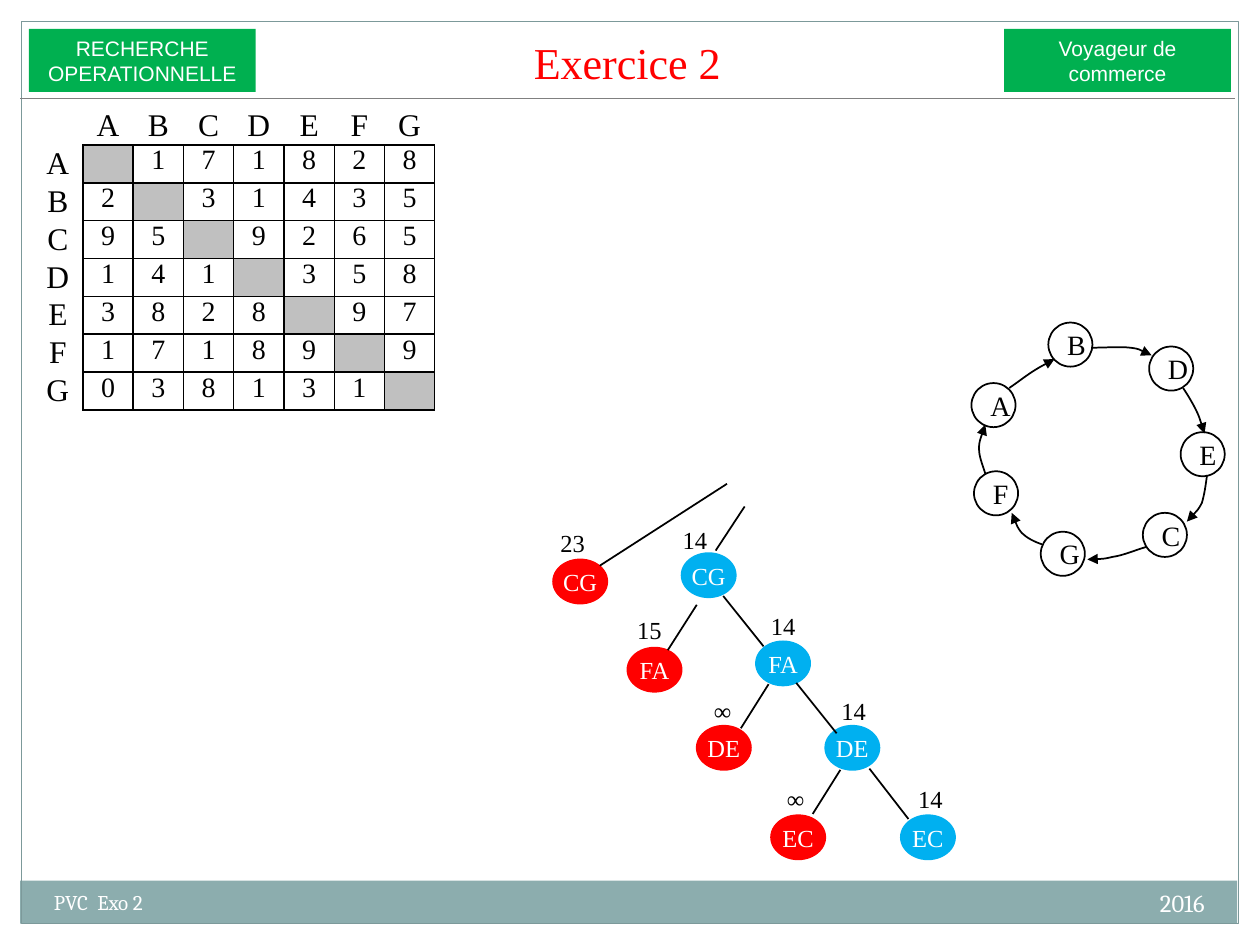
from lxml.etree import SubElement
from pptx import Presentation
from pptx.dml.color import RGBColor
from pptx.enum.shapes import MSO_CONNECTOR, MSO_SHAPE
from pptx.enum.text import MSO_ANCHOR, PP_ALIGN
from pptx.oxml.ns import qn
from pptx.util import Inches, Pt

BLACK, WHITE, RED, BLUE, GREEN = "000000", "FFFFFF", "FF0000", "00B0F0", "00B050"
SERIF = "Times New Roman"

deck = Presentation()
deck.slide_width, deck.slide_height = Inches(10), Inches(7.5)
page = deck.slides.add_slide(deck.slide_layouts[6])


def add_shape(kind, place, fill=None, line=None, weight=1):
    shape = page.shapes.add_shape(kind, *map(Inches, place))
    shape.shadow.inherit = False
    if fill:
        shape.fill.solid()
        shape.fill.fore_color.rgb = RGBColor.from_string(fill)
    else:
        shape.fill.background()
    if line:
        shape.line.color.rgb = RGBColor.from_string(line)
        shape.line.width = Pt(weight)
    else:
        shape.line.fill.background()
    return shape


def write(holder, text, size, color, font=SERIF, align=PP_ALIGN.CENTER,
          anchor=MSO_ANCHOR.TOP, margins=(0.1, 0.05)):
    frame = holder.text_frame
    frame.text = text
    if holder in cells:
        target = holder
    else:
        frame.word_wrap = True
        target = frame
    target.vertical_anchor = anchor
    target.margin_left = target.margin_right = Inches(margins[0])
    target.margin_top = target.margin_bottom = Inches(margins[1])
    for para in frame.paragraphs:
        para.alignment = align
        para.font.name = font
        para.font.size = Pt(size)
        para.font.color.rgb = RGBColor.from_string(color)


cells = []

add_shape(MSO_SHAPE.RECTANGLE, (0.16, 6.99, 9.66, 0.34), "8CADAE")
add_shape(MSO_SHAPE.RECTANGLE, (0.17, 0.17, 9.66, 7.16), line="7C999A", weight=0.75)

captions = [
    ("2016", (6.33, 7, 3.33, 0.4), 14, WHITE, "Cambria", PP_ALIGN.RIGHT, MSO_ANCHOR.TOP),
    ("PVC  Exo 2", (0.33, 7.01, 3.92, 0.4), 12, WHITE, "Cambria", PP_ALIGN.LEFT, MSO_ANCHOR.TOP),
    ("Exercice 2", (2.75, 0.22, 4.46, 0.53), 25.2, RED, SERIF, PP_ALIGN.CENTER, MSO_ANCHOR.BOTTOM),
]
for text, place, *style in captions:
    box = page.shapes.add_textbox(*map(Inches, place))
    write(box, text, *style)

for left, text in [(0.23, "RECHERCHE\nOPERATIONNELLE"), (7.97, "Voyageur de commerce")]:
    banner = add_shape(MSO_SHAPE.RECTANGLE, (left, 0.23, 1.8, 0.5), GREEN)
    write(banner, text, 12, WHITE, "Arial")

cities = "ABCDEFG"
costs = [" 171828", "2 31435", "95 9265", "141 358", "3828 97", "17189 9", "038131 "]
grid = [" " + cities + " "]
grid += [city + row + " " for city, row in zip(cities, costs)]
grid += [" " * 9]
table = page.shapes.add_table(9, 9, Inches(0.26), Inches(0.85), Inches(3.59), Inches(2.7)).table
table.first_row = table.horz_banding = False
table._tbl.tblPr.find(qn("a:tableStyleId")).text = "{2D5ABB26-0587-4C30-8999-92F81FD0307C}"
for r, row in enumerate(grid):
    for c, value in enumerate(row):
        cell = table.cell(r, c)
        cells.append(cell)
        if r == 0 or c == 0:
            write(cell, value.strip(), 18, BLACK, anchor=MSO_ANCHOR.MIDDLE, margins=(0.02, 0))
        else:
            write(cell, value.strip(), 16, BLACK, margins=(0.05, 0))
        if 1 <= r <= 7 and 1 <= c <= 7:
            for side in ("lnL", "lnR", "lnT", "lnB"):
                border = SubElement(cell._tc.get_or_add_tcPr(), qn("a:" + side), w=str(Pt(1)))
                SubElement(SubElement(border, qn("a:solidFill")), qn("a:srgbClr"), val=BLACK)
        if r == c and 1 <= r <= 7:
            cell.fill.solid()
            cell.fill.fore_color.rgb = RGBColor.from_string("C0C0C0")
        else:
            cell.fill.background()

tree_nodes = [
    ("CG", RED, 4.39, 4.44, "23", 4.39, 4.15),
    ("CG", BLUE, 5.41, 4.39, "14", 5.36, 4.13),
    ("FA", RED, 4.98, 5.14, "15", 5, 4.84),
    ("FA", BLUE, 6, 5.09, "14", 6.06, 4.81),
    ("DE", RED, 5.53, 5.76, "∞", 5.58, 5.48),
    ("DE", BLUE, 6.55, 5.76, "14", 6.62, 5.48),
    ("EC", RED, 6.12, 6.47, "∞", 6.16, 6.18),
    ("EC", BLUE, 7.15, 6.47, "14", 7.23, 6.18),
]
for arc, color, left, top, bound, bound_left, bound_top in tree_nodes:
    node = add_shape(MSO_SHAPE.OVAL, (left, top, 0.43, 0.35), color, color)
    write(node, arc, 14, WHITE, anchor=MSO_ANCHOR.MIDDLE, margins=(0, 0.04))
    box = page.shapes.add_textbox(*map(Inches, (bound_left, bound_top, 0.31, 0.32)))
    write(box, bound, 14, BLACK, margins=(0.04, 0.04))

header_rule = (0.16, 0.78, 9.8, 0.78)
branches = [
    (5.91, 4.02, 5.68, 4.37), (5.53, 4.8, 5.3, 5.16),
    (6.1, 5.43, 5.88, 5.78), (6.67, 6.11, 6.45, 6.46),
    (5.74, 4.73, 6.06, 5.13), (6.32, 5.42, 6.64, 5.82),
    (6.9, 6.1, 7.21, 6.5), (4.76, 4.49, 5.77, 3.84),
]
for ends in [header_rule] + branches:
    line = page.shapes.add_connector(MSO_CONNECTOR.STRAIGHT, *map(Inches, ends))
    is_rule = ends == header_rule
    line.line.color.rgb = RGBColor.from_string("808080" if is_rule else BLACK)
    line.line.width = Pt(0.75 if is_rule else 1)
    SubElement(line._element.spPr, qn("a:effectLst"))

tour = {
    "A": (7.71, 3.04), "B": (8.32, 2.56), "D": (9.12, 2.75), "E": (9.37, 3.43),
    "C": (9.07, 4.07), "G": (8.26, 4.22), "F": (7.73, 3.74),
}
for city, (left, top) in tour.items():
    stop = add_shape(MSO_SHAPE.OVAL, (left, top, 0.35, 0.35), WHITE, BLACK)
    write(stop, city, 16, BLACK, align=PP_ALIGN.LEFT, anchor=MSO_ANCHOR.MIDDLE)

tour_curves = [
    [(8.01, 3.08), (8.07, 3.04), (8.12, 3), (8.18, 2.96), (8.24, 2.92), (8.37, 2.85), (8.37, 2.85)],
    [(8.66, 2.76), (8.78, 2.76), (8.89, 2.75), (8.97, 2.76), (9.05, 2.77), (9.14, 2.82), (9.14, 2.82)],
    [(9.39, 3.08), (9.43, 3.14), (9.46, 3.19), (9.49, 3.25), (9.52, 3.31), (9.56, 3.44), (9.56, 3.44)],
    [(9.58, 3.77), (9.57, 3.85), (9.56, 3.92), (9.54, 3.99), (9.51, 4.05), (9.42, 4.14), (9.42, 4.14)],
    [(9.1, 4.34), (9, 4.37), (8.91, 4.41), (8.83, 4.42), (8.75, 4.44), (8.63, 4.44), (8.63, 4.44)],
    [(8.27, 4.32), (8.21, 4.3), (8.15, 4.27), (8.11, 4.23), (8.07, 4.18), (8.03, 4.07), (8.03, 4.07)],
    [(7.82, 3.76), (7.8, 3.69), (7.77, 3.63), (7.77, 3.56), (7.77, 3.5), (7.82, 3.37), (7.82, 3.37)],
]
for curve in tour_curves:
    points = [(Inches(x), Inches(y)) for x, y in curve]
    builder = page.shapes.build_freeform(*points[0])
    builder.add_line_segments(points[1:], close=False)
    arrow = builder.convert_to_shape()
    arrow.shadow.inherit = False
    arrow.fill.background()
    arrow.line.color.rgb = RGBColor.from_string(BLACK)
    arrow.line.width = Pt(1)
    SubElement(arrow.line._get_or_add_ln(), qn("a:tailEnd"), type="triangle")
    outline = next(arrow._element.iter(qn("a:path")))
    segments = outline.findall(qn("a:lnTo"))
    for start in range(0, len(segments), 3):
        bend = SubElement(outline, qn("a:cubicBezTo"))
        for segment in segments[start:start + 3]:
            bend.append(segment[0])
            outline.remove(segment)

deck.save("out.pptx")
